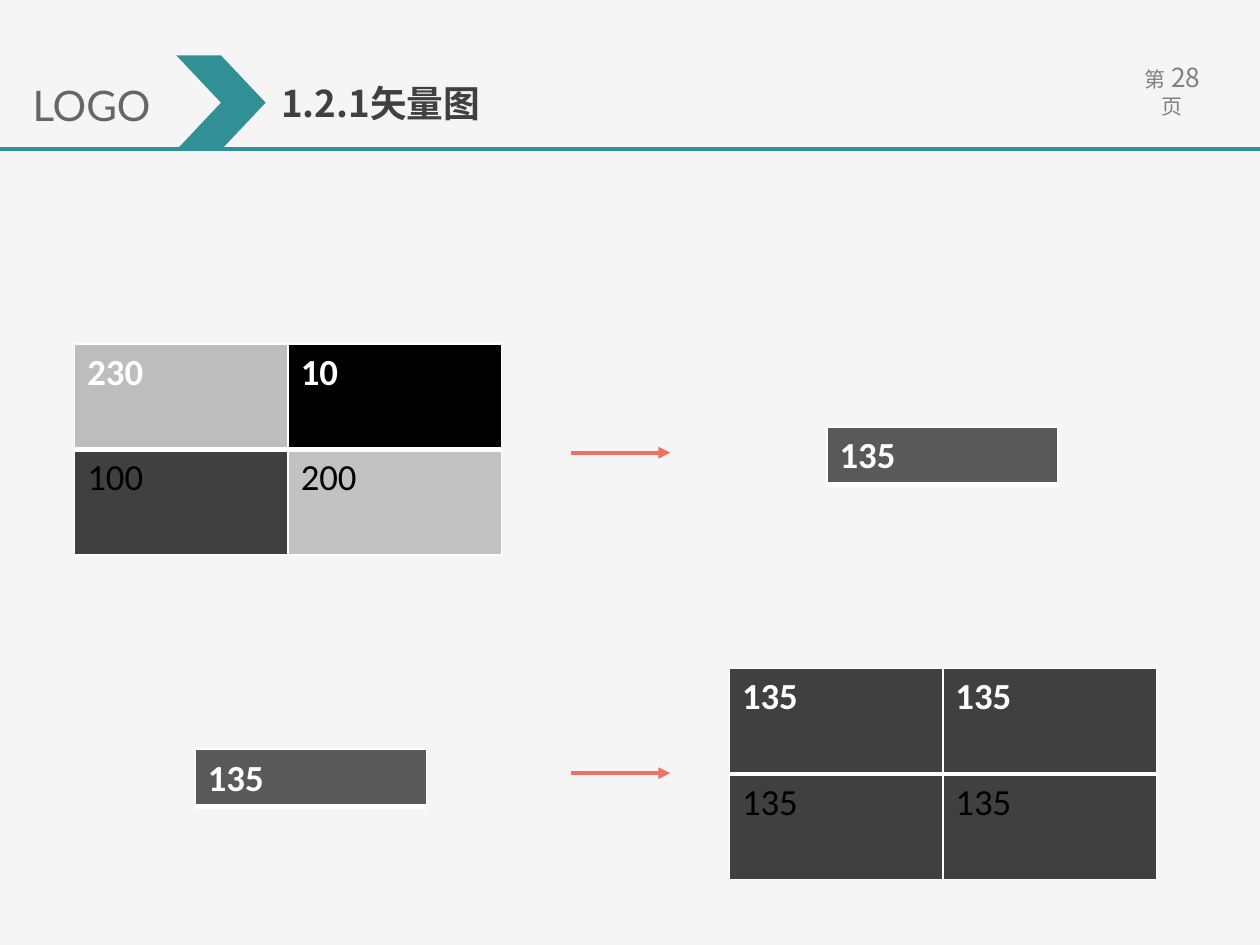
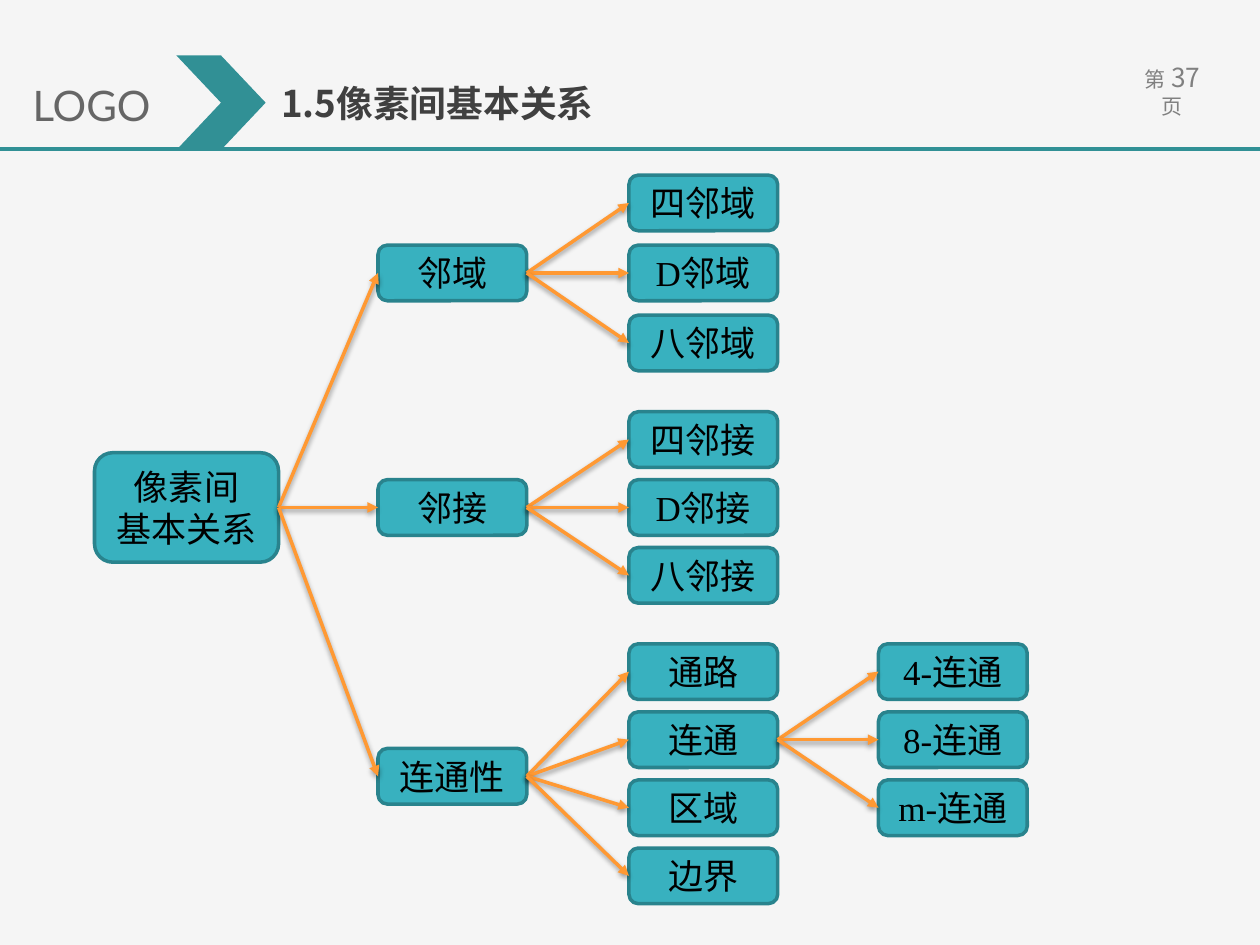
from lxml.etree import SubElement
from pptx import Presentation
from pptx.dml.color import RGBColor
from pptx.enum.shapes import MSO_CONNECTOR as Connector, MSO_SHAPE as Shape
from pptx.enum.text import MSO_ANCHOR as Anchor, MSO_AUTO_SIZE as AutoSize, PP_ALIGN as Align
from pptx.oxml.ns import qn
from pptx.util import Pt

TEAL, NODE, NODE_EDGE = "319095", "38B1BF", "29838D"
CORAL, ORANGE = "ED7262", "FF9933"
WHITE, BLACK, PAPER = "FFFFFF", "000000", "F5F5F5"
INK, LOGO_GREY, PAGE_GREY = "404040", "666666", "808080"
CJK, LATIN, SERIF, LOGO_FONT = "Noto Sans CJK SC", "Calibri", "Times New Roman", "Lato"
NODE_SIZE = (85, 31.8)


def color(value):
    return RGBColor.from_string(value)


def add_xml(parent, tag, **attributes):
    return SubElement(parent, qn(tag), {key: str(value) for key, value in attributes.items()})


class Builder:
    """Holds the deck, its style and the current slide."""

    def __init__(self):
        self.deck = Presentation()
        self.deck.slide_width, self.deck.slide_height = Pt(720), Pt(540)
        fill = self.deck.slide_master.background.fill
        fill.solid()
        fill.fore_color.rgb = color(PAPER)

    def page(self, title, number):
        self.slide = self.deck.slides.add_slide(self.deck.slide_layouts[5])
        self.shapes = self.slide.shapes
        # Page number, wrapped by its side margins
        box = self.textbox(636.5, 31.7, 67, 25, margin=13)
        para = box.text_frame.paragraphs[0]
        para.alignment = Align.CENTER
        for text, size in (("第", 12), (" ", 13.5), (str(number), 15), (" ", 13.5), ("页", 12)):
            span = para.add_run()
            span.text = text
            span.font.size = Pt(size)
        self.font(para, CJK, None, PAGE_GREY)
        # Header band
        self.line((0, 85), (720, 85), TEAL, 2.25)
        heading = self.shapes.title
        heading.left, heading.top, heading.width, heading.height = Pt(153.4), Pt(42.5), Pt(241), Pt(32.4)
        frame = heading.text_frame
        frame.auto_size, frame.vertical_anchor = AutoSize.NONE, Anchor.TOP
        self.put_text(frame, title, CJK, 21, INK, bold=True)
        self.shape(Shape.CHEVRON, 100.8, 31.7, 51, 54, TEAL)
        box = self.textbox(11.5, 41.8, 90, 36.7)
        self.put_text(box.text_frame, "LOGO", LOGO_FONT, 24, LOGO_GREY)

    def font(self, para, name, size, ink, bold=False):
        font = para.font
        font.name, font.bold = name, bold
        font.color.rgb = color(ink)
        if size:
            font.size = Pt(size)

    def put_text(self, frame, text, name, size, ink, bold=False, align=Align.LEFT):
        frame.text = text
        for para in frame.paragraphs:
            para.alignment = align
            self.font(para, name, size, ink, bold)

    def textbox(self, left, top, width, height, margin=7.2):
        box = self.shapes.add_textbox(Pt(left), Pt(top), Pt(width), Pt(height))
        frame = box.text_frame
        frame.word_wrap = True
        frame.margin_left = frame.margin_right = Pt(margin)
        return box

    def shape(self, kind, left, top, width, height, fill, edge=None):
        box = self.shapes.add_shape(kind, Pt(left), Pt(top), Pt(width), Pt(height))
        box.shadow.inherit = False
        box.fill.solid()
        box.fill.fore_color.rgb = color(fill)
        if edge:
            box.line.color.rgb = color(edge)
            box.line.width = Pt(2)
        else:
            box.line.fill.background()
        return box

    def node(self, text, left, middle, size=NODE_SIZE):
        width, height = size
        box = self.shape(Shape.ROUNDED_RECTANGLE, left, middle - height / 2,
                         width, height, NODE, NODE_EDGE)
        frame = box.text_frame
        frame.vertical_anchor = Anchor.MIDDLE
        frame.margin_left = frame.margin_right = Pt(3.6)
        frame.margin_top = frame.margin_bottom = 0
        self.put_text(frame, text, SERIF, 20, BLACK, align=Align.CENTER)
        return box

    def line(self, start, end, ink, width, arrow=False, shadow=False):
        points = [Pt(value) for value in (*start, *end)]
        line = self.shapes.add_connector(Connector.STRAIGHT, *points)
        line.line.color.rgb = color(ink)
        line.line.width = Pt(width)
        properties = line._element.spPr
        if arrow:
            add_xml(properties.find(qn("a:ln")), "a:tailEnd", type="triangle")
        effects = add_xml(properties, "a:effectLst")
        if shadow:
            outer = add_xml(effects, "a:outerShdw", blurRad=Pt(3.1), dist=Pt(1.6),
                            dir=90 * 60000, rotWithShape=0)
            add_xml(add_xml(outer, "a:srgbClr", val=BLACK), "a:alpha", val=38000)
        return line

    def link(self, parent, child):
        line = self.line((0, 0), (1, 1), ORANGE, 2, arrow=True, shadow=True)
        line.begin_connect(parent, 3)
        line.end_connect(child, 1)

    def table(self, left, top, column_width, row_height, rows):
        """Each row is a list of (text, fill) pairs; the first row is bold white."""
        count, columns = len(rows), len(rows[0])
        table = self.shapes.add_table(count, columns, Pt(left), Pt(top), Pt(column_width * columns),
                                      Pt(row_height * count)).table
        table.first_row = table.horz_banding = False
        for r, row in enumerate(rows):
            table.rows[r].height = Pt(row_height)
            for c, (text, fill) in enumerate(row):
                cell = table.cell(r, c)
                first = r == 0
                self.put_text(cell.text_frame, text, LATIN, 21, WHITE if first else BLACK, bold=first)
                self.borders(cell, top=1 if first else 3, bottom=3 if first else 1)
                cell.fill.solid()
                cell.fill.fore_color.rgb = color(fill)

    def borders(self, cell, top, bottom):
        properties = cell._tc.get_or_add_tcPr()
        for side, width in (("L", 1), ("R", 1), ("T", top), ("B", bottom)):
            edge = add_xml(properties, f"a:ln{side}", w=Pt(width))
            add_xml(add_xml(edge, "a:solidFill"), "a:srgbClr", val=WHITE)


def pixel_page(build):
    build.page("1.2.1矢量图", 28)
    # Four pixels merged into one, then one pixel spread over four
    merged = [[("135", "595959")]]
    build.table(42.7, 196.6, 122, 60.3, [[("230", "BDBDBD"), ("10", BLACK)],
                                         [("100", INK), ("200", "C2C2C2")]])
    build.table(472.6, 244.3, 132, 29.5, merged)
    build.table(111.6, 428.4, 132, 29.5, merged)
    build.table(416.8, 382, 122, 60.3, [[("135", INK)] * 2] * 2)
    for middle in (258.7, 441.8):
        build.line((326.3, middle), (383, middle), CORAL, 2.25, arrow=True)


def relation_page(build):
    build.page("1.5像素间基本关系", 37)
    columns = (216, 359.4, 502)
    # Branch: name, middle, middle of its first leaf, leaf pitch, leaves
    branches = [
        ("邻域", 156, 116, 40, ["四邻域", "D邻域", "八邻域"]),
        ("邻接", 290, 251.2, 38.8, ["四邻接", "D邻接", "八邻接"]),
        ("连通性", 443.6, 383.8, 38.9, ["通路", "连通", "区域", "边界"]),
    ]
    links = []

    def leaves(parent, names, left, first, pitch):
        boxes = [build.node(name, left, first + i * pitch) for i, name in enumerate(names)]
        links.extend((parent, box) for box in boxes)
        return boxes

    # Boxes
    root = build.node("像素间\n基本关系", 54, 290, (105.2, 62.6))
    for name, middle, first, pitch, names in branches:
        branch = build.node(name, columns[0], middle)
        links.append((root, branch))
        boxes = leaves(branch, names, columns[1], first, pitch)
    leaves(boxes[1], ["4-连通", "8-连通", "m-连通"], columns[2], first, pitch)
    # Arrows
    for parent, child in links:
        build.link(parent, child)


def main():
    build = Builder()
    pixel_page(build)
    relation_page(build)
    build.deck.save("out.pptx")


if __name__ == "__main__":
    main()
